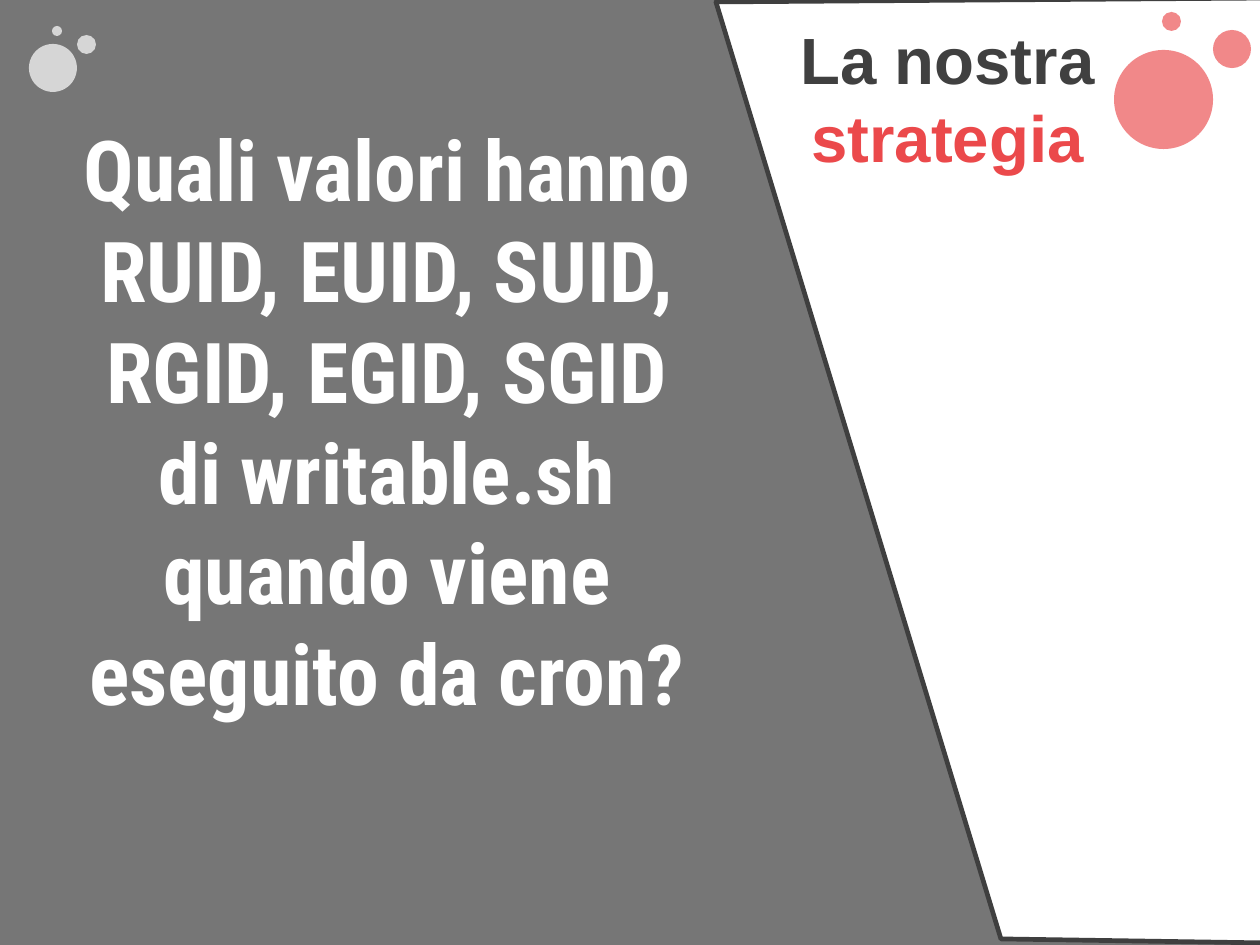
import pptx
import pptx.dml.color
import pptx.enum.shapes
import pptx.enum.text
import pptx.oxml
import pptx.oxml.ns
import pptx.util

RGBColor = pptx.dml.color.RGBColor
WHITE = RGBColor(0xFF, 0xFF, 0xFF)
CHARCOAL = RGBColor(0x3C, 0x3C, 0x3C)
OUTLINE = RGBColor(0x3F, 0x3F, 0x3F)
TITLE_GREY = RGBColor(0x40, 0x40, 0x40)
CORAL = RGBColor(0xEB, 0x49, 0x4B)
EMU_PER_PX = 914400 / 168
SHAPES = pptx.enum.shapes.MSO_SHAPE


def add_translucent(preset, box, color, opacity):
    shape = slide.shapes.add_shape(preset, *[round(v * EMU_PER_PX) for v in box])
    shape.shadow.inherit = False
    shape.line.fill.background()
    shape.fill.solid()
    shape.fill.fore_color.rgb = color
    alpha = pptx.oxml.parse_xml(
        f'<a:alpha {pptx.oxml.ns.nsdecls("a")} val="{opacity * 1000}"/>')
    shape.fill._xPr.find(".//" + pptx.oxml.ns.qn("a:srgbClr")).append(alpha)


def add_centred_text(box, lines, font_name, size, colors):
    frame = slide.shapes.add_textbox(*[round(v * EMU_PER_PX) for v in box]).text_frame
    frame.word_wrap = True
    frame.vertical_anchor = pptx.enum.text.MSO_ANCHOR.MIDDLE
    frame.text = "\n".join(lines)
    for paragraph, color in zip(frame.paragraphs, colors):
        paragraph.alignment = pptx.enum.text.PP_ALIGN.CENTER
        font = paragraph.runs[0].font
        font.name = font_name
        font.size = pptx.util.Pt(size)
        font.bold = True
        font.color.rgb = color


deck = pptx.Presentation()
deck.slide_width = round(1260 * EMU_PER_PX)
deck.slide_height = round(945 * EMU_PER_PX)
slide = deck.slides.add_slide(deck.slide_layouts[6])

add_translucent(SHAPES.RECTANGLE, (0, 0, 1261, 945), CHARCOAL, 70)
add_centred_text(
    (52, 106, 670, 628),
    ["Quali valori hanno RUID, EUID, SUID, RGID, EGID, SGID "
     "di writable.sh quando viene eseguito da cron?"],
    "Roboto Condensed", 36, [WHITE])

# Bubbles: left, top, diameter
for left, top, diameter in [(29, 44, 48), (77, 35, 19), (52, 26, 10)]:
    add_translucent(SHAPES.OVAL, (left, top, diameter, diameter), WHITE, 70)

outline = slide.shapes.build_freeform(1001, 939, scale=EMU_PER_PX)
outline.add_line_segments([(716, 2), (1275, -2), (1267, 943)], close=True)
panel = outline.convert_to_shape()
panel.shadow.inherit = False
panel.fill.solid()
panel.fill.fore_color.rgb = WHITE
panel.line.color.rgb = OUTLINE
panel.line.width = pptx.util.Pt(2)

for left, top, diameter in [(1114, 50, 99), (1213, 30, 38), (1162, 12, 19)]:
    add_translucent(SHAPES.OVAL, (left, top, diameter, diameter), CORAL, 65)

add_centred_text((781, 10, 333, 175), ["La nostra", "strategia"],
                 "Arial", 28, [TITLE_GREY, CORAL])

deck.save("out.pptx")
